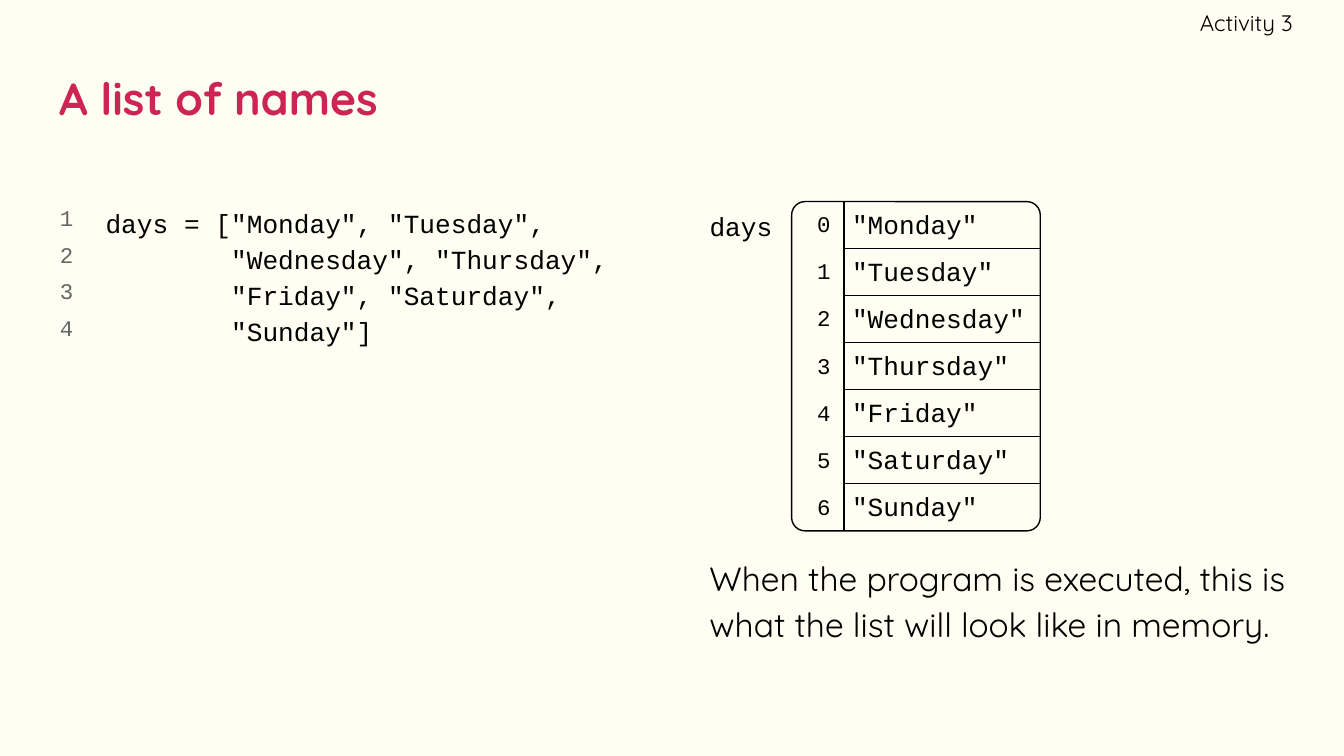
import lxml.etree
import pptx
import pptx.dml.color
import pptx.enum.shapes
import pptx.enum.text
import pptx.oxml.ns
import pptx.util

Pt = pptx.util.Pt
ALIGN = pptx.enum.text.PP_ALIGN
ANCHOR = pptx.enum.text.MSO_ANCHOR
qn = pptx.oxml.ns.qn

COLORS = {"paper": "FFFEF2", "title": "CD2355", "ink": "000000", "line_no": "666666"}
SANS, MONO = "Quicksand", "Courier New"
NO_STYLE_TABLE = "{2D5ABB26-0587-4C30-8999-92F81FD0307C}"

DAYS = ["Monday", "Tuesday", "Wednesday", "Thursday", "Friday", "Saturday", "Sunday"]
CODE = [
    'days = ["Monday", "Tuesday",',
    '        "Wednesday", "Thursday",',
    '        "Friday", "Saturday",',
    '        "Sunday"]',
]
LIST_LEFT, LIST_TOP = 424.1, 108
INDEX_WIDTH, VALUE_WIDTH, ROW_HEIGHT = 28.1, 105.1, 25.2


def rgb(name):
    return pptx.dml.color.RGBColor.from_string(COLORS[name])


def style_paragraph(p, font, size, color="ink", bold=False, align=ALIGN.LEFT,
                    spacing=1.0, before=0, after=0):
    p.alignment = align
    p.line_spacing = spacing
    p.space_before, p.space_after = Pt(before), Pt(after)
    p.font.name, p.font.size, p.font.bold = font, Pt(size), bold
    p.font.color.rgb = rgb(color)


def fill_text(sp, box, lines, font, size, insets=(7.2, 7.2, 7.2, 7.2),
              anchor=ANCHOR.TOP, wrap=True, gap=0, **style):
    """Place a text shape and write one paragraph per line."""
    sp.left, sp.top, sp.width, sp.height = (Pt(v) for v in box)
    tf = sp.text_frame
    tf.word_wrap = wrap
    tf.auto_size = pptx.enum.text.MSO_AUTO_SIZE.NONE
    tf.vertical_anchor = anchor
    tf.margin_left, tf.margin_top, tf.margin_right, tf.margin_bottom = (
        Pt(v) for v in insets)
    for i, line in enumerate(lines):
        p = tf.paragraphs[0] if i == 0 else tf.add_paragraph()
        p.text = line
        style_paragraph(p, font, size, before=gap if i else 0, **style)


def add_text(s, box, lines, font, size, **options):
    sp = s.shapes.add_textbox(0, 0, 0, 0)
    fill_text(sp, box, lines, font, size, **options)


def add_frame(s, box):
    sp = s.shapes.add_shape(pptx.enum.shapes.MSO_SHAPE.ROUNDED_RECTANGLE,
                            *(Pt(v) for v in box))
    sp.adjustments[0] = 0.054
    sp.shadow.inherit = False
    sp.fill.background()
    sp.line.color.rgb = rgb("ink")
    sp.line.width = Pt(0.75)


def set_borders(cell, sides):
    """Draw the given sides of a cell and clear the others."""
    tc_pr = cell._tc.get_or_add_tcPr()
    for side in "LRTB":
        ln = lxml.etree.SubElement(tc_pr, qn(f"a:ln{side}"), w=str(Pt(0.75)))
        if side in sides:
            fill = lxml.etree.SubElement(ln, qn("a:solidFill"))
            lxml.etree.SubElement(fill, qn("a:srgbClr"), val=COLORS["ink"])
        else:
            lxml.etree.SubElement(ln, qn("a:noFill"))


def fill_cell(cell, text, size, align, sides):
    cell.text = text
    cell.vertical_anchor = ANCHOR.MIDDLE
    cell.margin_left, cell.margin_right = Pt(4.3), Pt(7.2)
    cell.margin_top = cell.margin_bottom = 0
    style_paragraph(cell.text_frame.paragraphs[0], MONO, size, align=align, spacing=1.15)
    set_borders(cell, sides)
    cell.fill.background()


def add_list_table(s, box, values):
    table = s.shapes.add_table(len(values), 2, *(Pt(v) for v in box)).table
    table.first_row = table.horz_banding = False
    table._tbl.tblPr.find(qn("a:tableStyleId")).text = NO_STYLE_TABLE
    table.columns[0].width, table.columns[1].width = Pt(INDEX_WIDTH), Pt(VALUE_WIDTH)
    last = len(values) - 1
    for i, value in enumerate(values):
        table.rows[i].height = Pt(ROW_HEIGHT)
        sides = "L" + ("T" if i > 0 else "") + ("B" if i < last else "")
        fill_cell(table.cell(i, 0), str(i), 12, ALIGN.RIGHT, "R")
        fill_cell(table.cell(i, 1), f'"{value}"', 14, ALIGN.LEFT, sides)


def main():
    prs = pptx.Presentation()
    prs.slide_width, prs.slide_height = Pt(720), Pt(405)
    s = prs.slides.add_slide(prs.slide_layouts[0])
    s.background.fill.solid()
    s.background.fill.fore_color.rgb = rgb("paper")

    # Title and activity label
    fill_text(s.shapes.title, (24.5, 24.5, 671, 55.4), ["A list of names"], SANS, 24,
              anchor=ANCHOR.MIDDLE, color="title", bold=True)
    fill_text(s.placeholders[1], (538.6, 0, 154, 24.5), ["Activity 3"], SANS, 12,
              insets=(7.2, 7.2, 0, 7.2), anchor=ANCHOR.MIDDLE, align=ALIGN.RIGHT)

    # Explanation below the list
    add_text(s, (373, 288.7, 321.8, 63.4),
             ["When the program is executed, this is what the list will look like in memory."],
             SANS, 18, insets=(7.2, 7.2, 4.3, 7.2), spacing=1.14, after=10)

    # The list in memory
    list_box = (LIST_LEFT, LIST_TOP, INDEX_WIDTH + VALUE_WIDTH, ROW_HEIGHT * len(DAYS))
    add_frame(s, list_box)
    add_list_table(s, list_box, DAYS)
    add_text(s, (373, 103, 49, 28.8), ["days"], MONO, 14, spacing=1.15)

    # Program with line numbers
    numbers = [str(n) for n in range(1, len(CODE) + 1)]
    add_text(s, (25, 103, 21.6, 152.6), numbers, MONO, 12, insets=(7.2, 4.3, 7.2, 7.2),
             wrap=False, gap=3, color="line_no", spacing=1.15)
    add_text(s, (49.5, 101.5, 285, 152.6), CODE, MONO, 14, spacing=1.15)

    prs.save("out.pptx")


if __name__ == "__main__":
    main()
